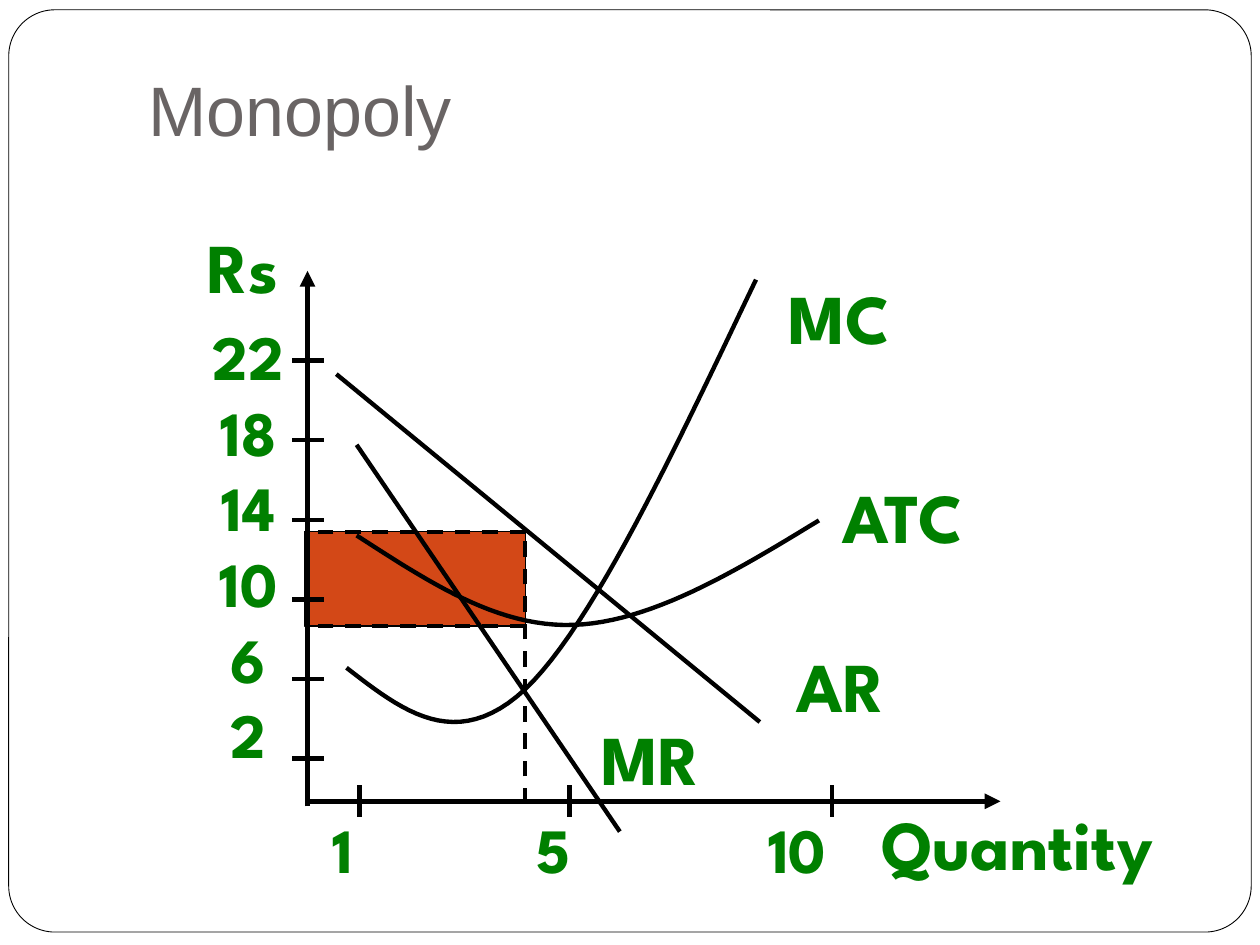
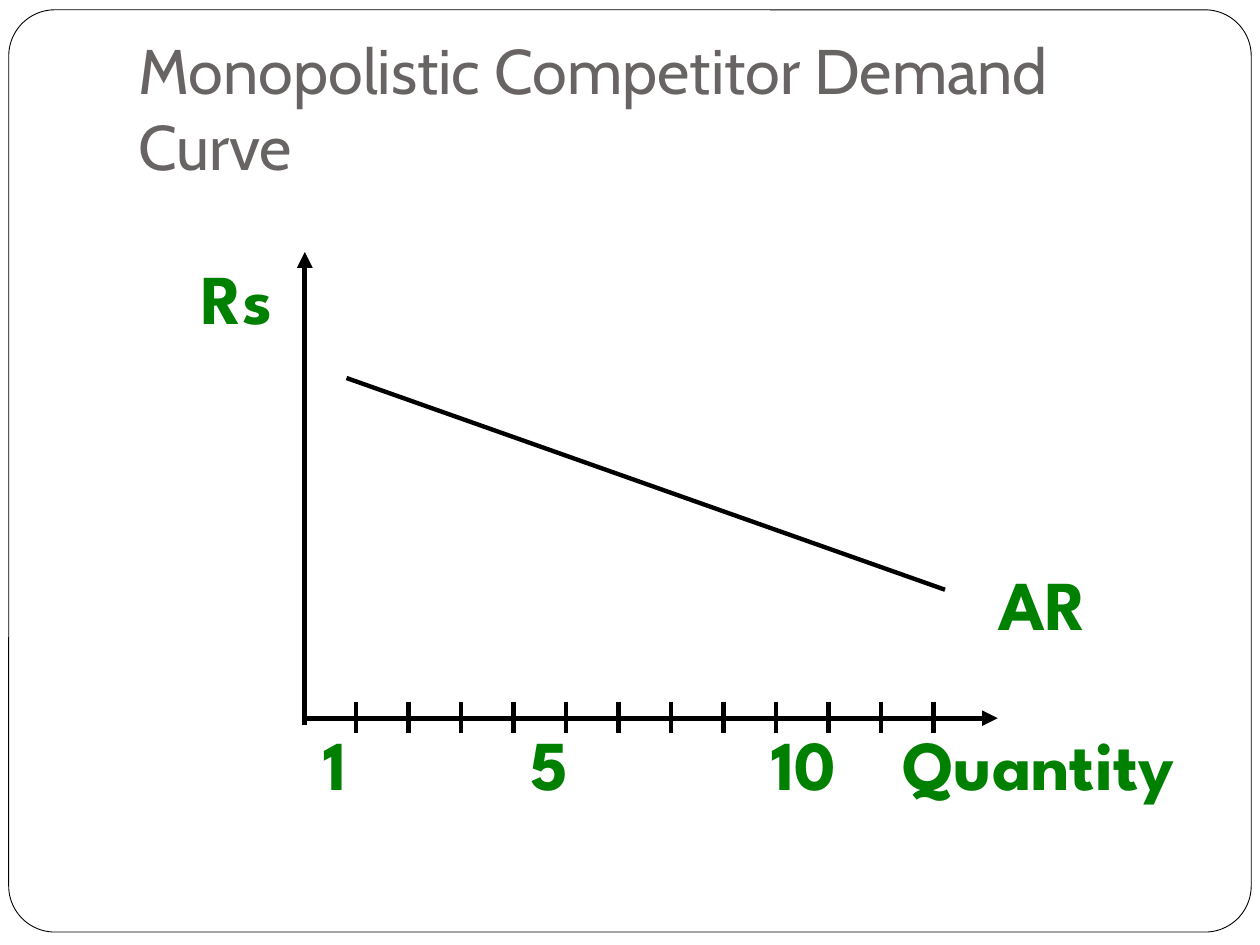
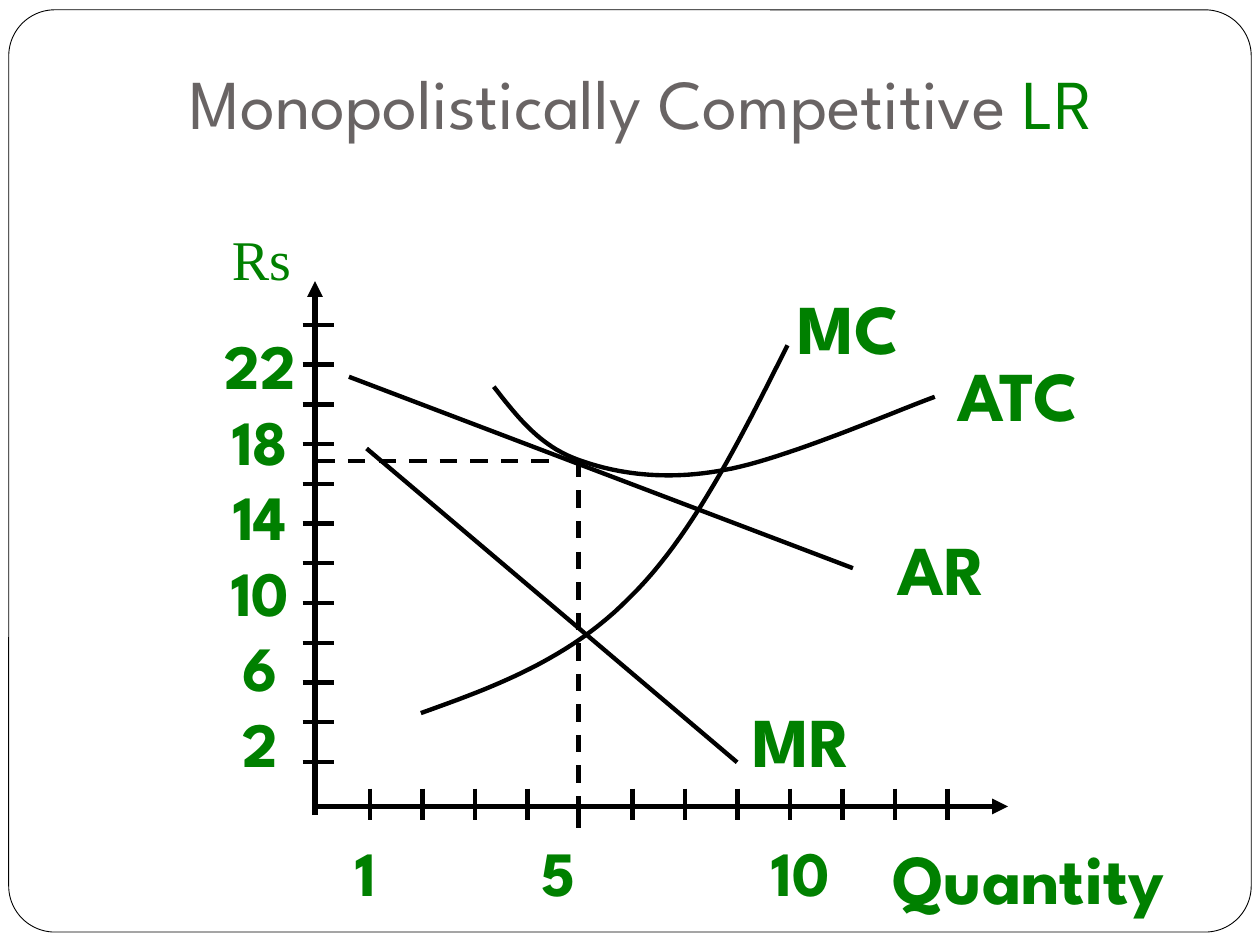
import pptx
import pptx.dml.color
import pptx.enum.dml
import pptx.enum.shapes
import pptx.enum.text
import pptx.oxml
import pptx.oxml.ns
import pptx.util

Pt = pptx.util.Pt
RGBColor = pptx.dml.color.RGBColor
ALIGN = pptx.enum.text.PP_ALIGN
ANCHOR = pptx.enum.text.MSO_ANCHOR
SHAPE = pptx.enum.shapes.MSO_SHAPE
DASH = pptx.enum.dml.MSO_LINE.DASH

BLACK = RGBColor(0x00, 0x00, 0x00)
WHITE = RGBColor(0xFF, 0xFF, 0xFF)
GREEN = RGBColor(0x00, 0x80, 0x00)
GREY = RGBColor(0x69, 0x64, 0x64)
PROFIT = RGBColor(0xD3, 0x48, 0x17)

DISPLAY = "League Spartan"
AXIS = 3
CURVE = 2.5
UNIT = 30
TICK = 18
PRICES = ("22", "18", "14", "10", "6", "2")
CURVE_STEPS = 24


def add_child(parent, tag, **attributes):
    child = pptx.oxml.parse_xml(f"<a:{tag} {pptx.oxml.ns.nsdecls('a')}/>")
    for key, value in attributes.items():
        child.set(key, str(value))
    parent.append(child)
    return child


def add_text(slide, box, *paragraphs, size=40, font=DISPLAY, color=GREEN, bold=False,
             align=ALIGN.CENTER, anchor=ANCHOR.MIDDLE, wrap=False, bottom=3.6, tabs=()):
    frame = slide.shapes.add_textbox(*map(Pt, box)).text_frame
    frame.word_wrap = wrap
    frame.vertical_anchor = anchor
    frame.margin_bottom = Pt(bottom)
    for index, content in enumerate(paragraphs):
        paragraph = frame.add_paragraph() if index else frame.paragraphs[0]
        paragraph.alignment = align
        if tabs:
            stops = add_child(paragraph._p.get_or_add_pPr(), "tabLst")
            for stop in tabs:
                add_child(stops, "tab", pos=Pt(stop), algn="l")
        runs = [(content, color)] if isinstance(content, str) else content
        for words, run_color in runs:
            run = paragraph.add_run()
            run.text = words
            run.font.size = Pt(size)
            run.font.name = font
            run.font.bold = bold
            run.font.color.rgb = run_color


def add_label(slide, words, left, top, width):
    add_text(slide, (left, top, width, 55.4), words, bold=True)


def add_quantities(slide, left, top, tabs, size=36):
    add_text(slide, (left, top, 325, size * 1.2 + 7.2), "1\t5\t10", size=size, bold=True,
             align=ALIGN.LEFT, wrap=True, tabs=tabs)


def add_prices(slide, left, top):
    add_text(slide, (left, top, 56, 266.4), *PRICES, size=36, bold=True)


def add_panel(slide, kind, box, fill, width):
    panel = slide.shapes.add_shape(kind, *map(Pt, box))
    panel.shadow.inherit = False
    panel.fill.solid()
    panel.fill.fore_color.rgb = fill
    panel.line.color.rgb = BLACK
    panel.line.width = Pt(width)
    return panel


def add_line(slide, start, end, width=CURVE, dashed=False, arrow=False):
    line = slide.shapes.add_connector(
        pptx.enum.shapes.MSO_CONNECTOR.STRAIGHT, *map(Pt, start + end))
    line.line.color.rgb = BLACK
    line.line.width = Pt(width)
    if dashed:
        line.line.dash_style = DASH
    if arrow:
        add_child(line.line._get_or_add_ln(), "tailEnd", type="triangle")
    add_child(line._element.spPr, "effectLst")


def bezier(p0, p1, p2, p3, t):
    u = 1 - t
    return tuple(u**3 * a + 3 * u**2 * t * b + 3 * u * t**2 * c + t**3 * d
                 for a, b, c, d in zip(p0, p1, p2, p3))


def add_curve(slide, start, *segments):
    points = []
    origin = start
    for first, second, end in segments:
        points += [bezier(origin, first, second, end, step / CURVE_STEPS)
                   for step in range(1, CURVE_STEPS + 1)]
        origin = end
    builder = slide.shapes.build_freeform(*map(Pt, start))
    builder.add_line_segments([tuple(map(Pt, point)) for point in points], close=False)
    curve = builder.convert_to_shape()
    curve.shadow.inherit = False
    curve.fill.background()
    curve.line.color.rgb = BLACK
    curve.line.width = Pt(CURVE)


def add_axes(slide, left, top, bottom, base):
    add_line(slide, (left, base), (left + 396, base), AXIS, arrow=True)
    add_line(slide, (left, bottom), (left, top), AXIS, arrow=True)


def add_quantity_ticks(slide, first, top, quantities):
    for quantity in quantities:
        x = first + UNIT * (quantity - 1)
        add_line(slide, (x, top), (x, top + TICK))


def add_price_ticks(slide, left, first, step, count):
    for index in range(count):
        y = first + step * index
        add_line(slide, (left, y), (left + TICK, y))


def add_framed_slide(deck):
    slide = deck.slides.add_slide(deck.slide_layouts[6])
    border = add_panel(slide, SHAPE.ROUNDED_RECTANGLE, (5, 5.6, 710, 527), WHITE, 0.5)
    border.adjustments[0] = 0.05
    return slide


def build_monopoly(deck):
    slide = add_framed_slide(deck)
    add_panel(slide, SHAPE.RECTANGLE, (174.2, 303.8, 126, 54), PROFIT, 0.75)
    add_axes(slide, 175.7, 154.8, 460.8, 457.9)
    add_quantity_ticks(slide, 205.5, 448.6, (1, 5, 10))
    add_price_ticks(slide, 167, 206, 45.5, 6)
    add_quantities(slide, 182.9, 459.4, (116.6, 249))
    add_prices(slide, 114, 178)

    add_line(slide, (192.2, 213.8), (434.2, 412.6))
    add_line(slide, (203.8, 254.2), (354.2, 475.2))
    add_curve(slide, (198, 381.6),
              ((229.7, 406.1), (260.6, 430.6), (300.2, 393.8)),
              ((339.1, 356.4), (385.2, 257.8), (432, 159.8)))
    add_curve(slide, (203.8, 306),
              ((244.1, 331.9), (283.7, 358.6), (327.6, 357.1)),
              ((371.5, 355.7), (419.8, 326.9), (468, 297.4)))
    for words, left, top, width in (
            ("Rs", 108.7, 123.8, 60.5), ("Quantity", 485.3, 453.6, 192.2),
            ("AR", 446.4, 363.6, 68.4), ("MR", 324, 405.4, 95.8),
            ("MC", 432, 153.4, 95.8), ("ATC", 455.8, 267.1, 120.2)):
        add_label(slide, words, left, top, width)

    add_line(slide, (300.2, 459.4), (300.2, 303.1), 2.25, dashed=True)
    add_line(slide, (300.2, 357.8), (180, 357.8), 2.25, dashed=True)
    add_line(slide, (300.2, 303.8), (174.2, 303.8), 2.25, dashed=True)
    add_text(slide, (77.8, 30.2, 522, 63.4), "Monopoly", font="Arial", color=GREY,
             align=ALIGN.LEFT, wrap=True)


def build_demand_curve(deck):
    slide = add_framed_slide(deck)
    add_axes(slide, 174.2, 144, 414, 410.4)
    add_quantity_ticks(slide, 203.5, 401, range(1, 13))
    add_quantities(slide, 177.8, 408.2, (118, 256), size=40)
    add_line(slide, (198, 216), (540, 337))
    for words, left, top, width in (
            ("Rs", 105.1, 141.8, 60.5), ("Quantity", 497.5, 408.2, 192.2),
            ("AR", 561.6, 316.8, 68.4)):
        add_label(slide, words, left, top, width)
    add_text(slide, (72, 21.6, 612, 90), "Monopolistic Competitor Demand Curve",
             size=36, font="Cabin", color=GREY, align=ALIGN.LEFT,
             anchor=ANCHOR.BOTTOM, wrap=True, bottom=7.2)


def build_long_run(deck):
    slide = add_framed_slide(deck)
    add_axes(slide, 180, 160.6, 465.8, 460.8)
    add_quantity_ticks(slide, 211.4, 450.7, [q for q in range(1, 13) if q != 5])
    add_line(slide, (330.5, 455), (330.5, 473))
    add_price_ticks(slide, 173, 185.7, 22.7, 12)
    add_quantities(slide, 195.8, 473, (106.5, 238))
    add_prices(slide, 120.7, 183)

    add_line(slide, (199.4, 215.3), (487.4, 324.7))
    add_line(slide, (209.5, 256.3), (421.2, 435.6))
    add_curve(slide, (240.5, 407.5),
              ((283, 392.4), (325.4, 376.6), (360, 341.3)),
              ((395.3, 306.7), (422.6, 252), (450, 197.3)))
    add_curve(slide, (282.2, 221),
              ((295.2, 237.6), (308.2, 254.9), (330.5, 262.8)),
              ((352.1, 270.7), (380.2, 275), (414, 268.6)),
              ((447.8, 262.8), (514.1, 234), (534.2, 226.8)))
    for words, left, top, width in (
            ("Quantity", 491.8, 473, 192.2), ("AR", 504, 296.6, 68.4),
            ("MR", 419, 394.6, 78.5), ("MC", 446.4, 159.1, 77),
            ("ATC", 536.4, 197.3, 90.7)):
        add_label(slide, words, left, top, width)
    add_text(slide, (125.3, 124.6, 48.2, 46), "Rs", size=32, font="Times New Roman")

    add_line(slide, (330.5, 262.8), (330.5, 455), dashed=True)
    add_line(slide, (181.4, 263.5), (319.7, 263.5), dashed=True)
    add_text(slide, (60.5, 30.2, 612, 55.4),
             [("Monopolistically Competitive ", GREY), ("LR", GREEN)])


def main():
    deck = pptx.Presentation()
    deck.slide_width = Pt(720)
    deck.slide_height = Pt(540)
    build_monopoly(deck)
    build_demand_curve(deck)
    build_long_run(deck)
    deck.save("out.pptx")


if __name__ == "__main__":
    main()
